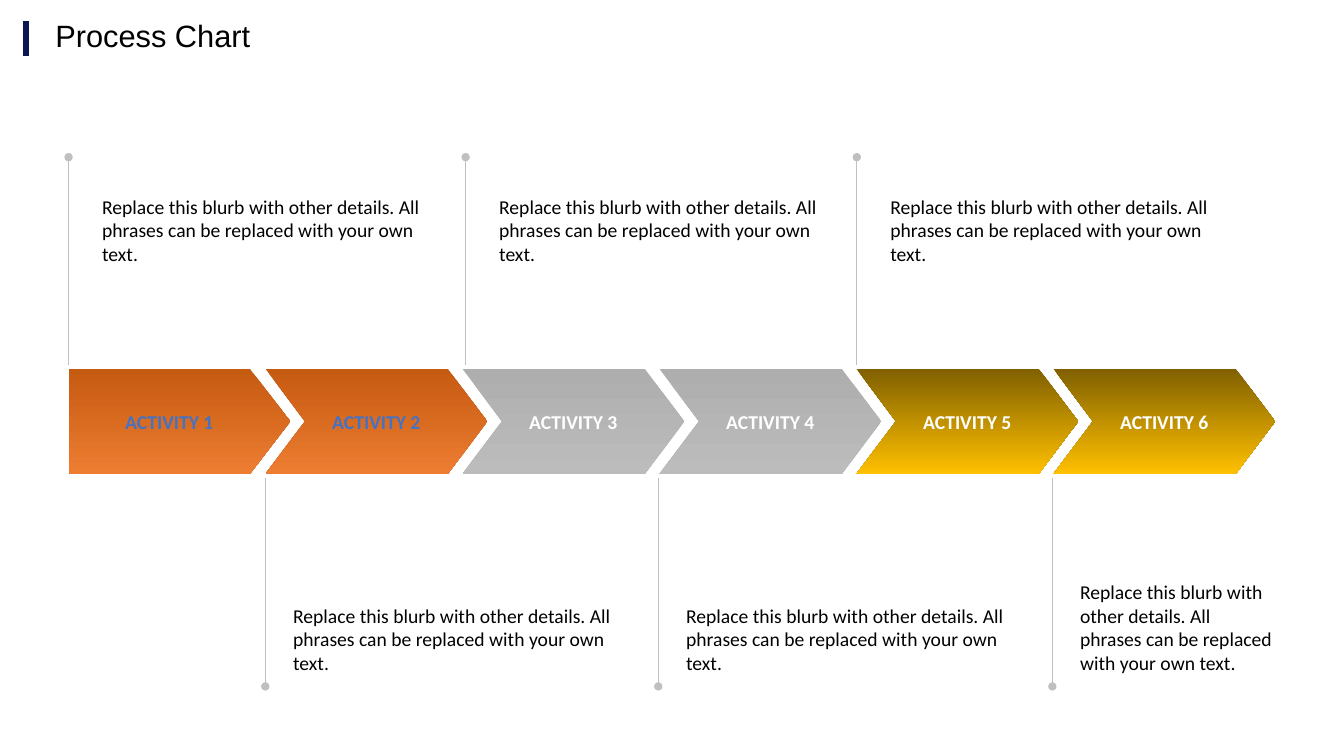
from pptx import Presentation
from pptx.dml.color import RGBColor
from pptx.enum.shapes import MSO_CONNECTOR as Link, MSO_SHAPE as Form
from pptx.enum.text import MSO_ANCHOR as Anchor, MSO_AUTO_SIZE as Auto, PP_ALIGN as Align
from pptx.oxml.ns import qn
from pptx.util import Pt
from lxml.etree import SubElement as Sub

HUES = {
    "navy": "0A1750", "black": "000000", "white": "FFFFFF", "blue": "4472C4",
    "line": "BFBFBF", "rust": "C55A11", "orange": "ED7D31", "gray": "AEAEAE",
    "silver": "BCBCBC", "brown": "806000", "gold": "FFC000",
}
TONES = [("rust", "orange", "blue"), ("gray", "silver", "white"), ("brown", "gold", "white")]
BLURB = "Replace this blurb with other details. All phrases can be replaced with your own text."
POSTS = [49, 189.5, 332.6, 470.2, 612, 751.7]
STEP = 140.7


def hue(name):
    """Return the named colour."""
    return RGBColor.from_string(HUES[name])


def write(para, text, size, tone, face="Calibri", bold=False):
    """Add one styled run to a paragraph."""
    run = para.add_run()
    run.text = text
    font = run.font
    font.name, font.size, font.bold = face, Pt(size), bold
    font.color.rgb = hue(tone)


def pad(frame, side, edge):
    """Set the insets of a text frame and let it wrap."""
    frame.margin_left = frame.margin_right = Pt(side)
    frame.margin_top = frame.margin_bottom = Pt(edge)
    frame.word_wrap = True


def rule(slide, x, start, end, tone, width, dot=False):
    """Draw an upright line, with a dot at its end if asked."""
    line = slide.shapes.add_connector(Link.STRAIGHT, Pt(x), Pt(start), Pt(x), Pt(end))
    line.line.color.rgb = hue(tone)
    line.line.width = Pt(width)
    if dot:
        Sub(line.line._get_or_add_ln(), qn("a:tailEnd"), type="oval")
    Sub(line._element.spPr, qn("a:effectLst"))


def head(slide, x, y, wide, high):
    """Place the title and the bar on its left."""
    rule(slide, x - 13.7, y + 15.1, y + 40.3, "navy", 4.5)
    title = slide.shapes.title
    title.left, title.top, title.width, title.height = Pt(x), Pt(y), Pt(wide), Pt(high)
    frame = title.text_frame
    frame.vertical_anchor = Anchor.MIDDLE
    para = frame.paragraphs[0]
    para.alignment, para.line_spacing = Align.LEFT, 0.9
    write(para, "Process Chart", 22, "black", "Arial")


def arrow(slide, num, x, y, wide, high):
    """Place one activity arrow."""
    form, notch = (Form.CHEVRON, 0.376) if num else (Form.PENTAGON, 0.385)
    shape = slide.shapes.add_shape(form, Pt(x), Pt(y), Pt(wide), Pt(high))
    shape.adjustments[0] = notch
    shape.shadow.inherit = False
    shape.line.fill.background()
    *shades, ink = TONES[num // 2]
    shape.fill.gradient()
    shape.fill.gradient_angle = 270
    for stop, shade in zip(shape.fill.gradient_stops, shades):
        stop.color.rgb = hue(shade)
    frame = shape.text_frame
    pad(frame, 8.64, 5.76)
    frame.vertical_anchor = Anchor.MIDDLE
    para = frame.paragraphs[0]
    para.alignment = Align.CENTER
    write(para, f"ACTIVITY {num + 1}", 14, ink, bold=True)


def blurb(slide, x, y, wide, high, anchor):
    """Place one block of details."""
    box = slide.shapes.add_textbox(Pt(x), Pt(y), Pt(wide), Pt(high))
    frame = box.text_frame
    pad(frame, 8.64, 0)
    frame.auto_size = Auto.SHAPE_TO_FIT_TEXT
    frame.vertical_anchor = anchor
    para = frame.paragraphs[0]
    para.space_after = Pt(3)
    write(para, BLURB, 14, "black")


def chart(slide, x, y, wide, high):
    """Place the arrows with their posts and details in turn above and below."""
    for num, post in enumerate(POSTS):
        arrow(slide, num, x + num * STEP, y, wide, high)
        if num % 2 == 0:
            rule(slide, post, y - 3, y - 151.2, "line", 0.75, True)
            blurb(slide, post + 15.3, y - 124.5, 260.6, 51, Anchor.TOP)
        else:
            span, deep = (156.2, 85) if num == len(POSTS) - 1 else (260.6, 51)
            base = y + high
            rule(slide, post, base + 3, base + 151.8, "line", 0.75, True)
            blurb(slide, post + 11.2, base + 143.2 - deep, span, deep, Anchor.BOTTOM)


def main():
    """Build the slide and save it."""
    deck = Presentation()
    deck.slide_width, deck.slide_height = Pt(960), Pt(540)
    slide = deck.slides.add_slide(deck.slide_layouts[5])
    head(slide, 32.4, 0, 617.8, 53.3)
    chart(slide, 49, 263.5, 158.4, 75)
    deck.save("out.pptx")


if __name__ == "__main__":
    main()
